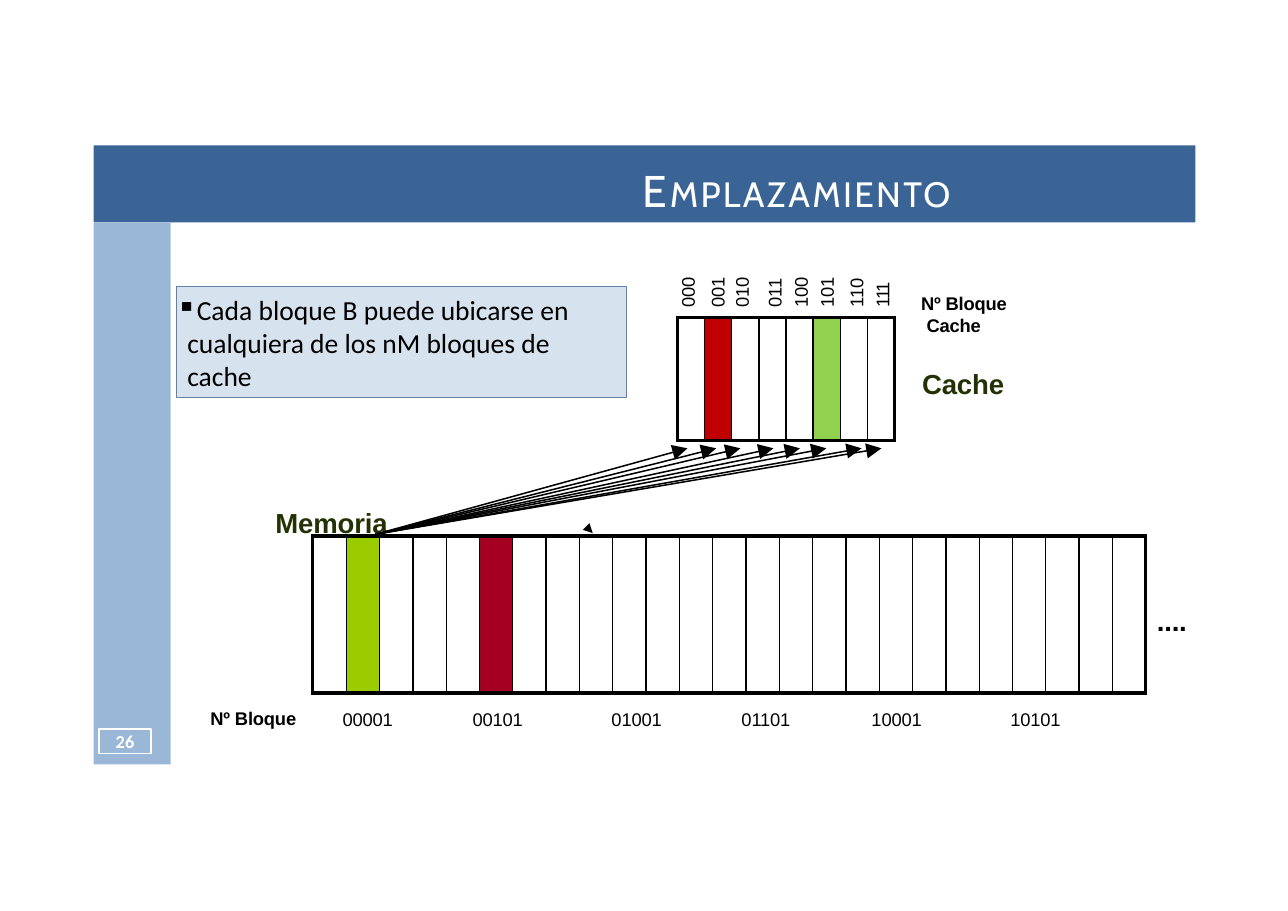
"""Build the slide on where a memory block may be placed in the cache."""
from dataclasses import dataclass, field

from lxml import etree
from pptx import Presentation
from pptx.dml.color import RGBColor
from pptx.enum.shapes import MSO_CONNECTOR, MSO_SHAPE
from pptx.enum.text import MSO_ANCHOR, PP_ALIGN
from pptx.oxml.ns import qn
from pptx.util import Inches, Pt

RECT = MSO_SHAPE.RECTANGLE
LINE = MSO_CONNECTOR.STRAIGHT
TOP, MIDDLE = MSO_ANCHOR.TOP, MSO_ANCHOR.MIDDLE
LEFT, CENTER = PP_ALIGN.LEFT, PP_ALIGN.CENTER
HUES = {
    "head": "396495", "side": "9AB7D8", "note": "D7E2EF", "edge": "667FA5",
    "white": "FFFFFF", "black": "000000", "name": "233205",
    "red": "C00000", "green": "92D050", "wine": "A50021", "lime": "9ACC00",
}


@dataclass
class Box:
    left: float
    top: float
    width: float
    height: float


@dataclass
class Label:
    text: str
    box: Box
    size: float = 12
    hue: str = "black"
    bold: bool = True


@dataclass
class Grid:
    box: Box
    count: int
    rim: float
    fills: dict = field(default_factory=dict)


BARS = [(Box(0.85, 1.32, 10, 0.7), "head"), (Box(0.85, 2.02, 0.7, 4.92), "side")]
GRIDS = [
    Grid(Box(6.15, 2.88, 1.97, 1.12), 8, 2.25, {1: "red", 5: "green"}),
    Grid(Box(2.84, 4.87, 7.56, 1.42), 25, 3, {1: "lime", 5: "wine"}),
]
MARKS = {"00001": 3.1, "00101": 4.28, "01001": 5.54,
         "01101": 6.72, "10001": 7.9, "10101": 9.16}
LABELS = [
    Label("Memoria", Box(2.49, 4.57, 1.06, 0.33), 18, "name"),
    Label("Cache", Box(8.36, 3.31, 0.78, 0.33), 18, "name"),
    Label("Nº Bloque", Box(1.9, 6.4, 0.82, 0.23)),
    Label("....", Box(10.49, 5.46, 0.3, 0.33), 18),
] + [Label(text, Box(left, 6.41, 0.49, 0.23), bold=False) for text, left in MARKS.items()]
SLOTS = {"000": 0, "001": 5, "010": 1.6, "011": 7,
         "100": 2.6, "101": 2.7, "110": 4.9, "111": 2.5}
TIPS = [6.24, 6.5, 6.72, 7.02, 7.26, 7.5, 7.82, 8]


def tint(name: str) -> RGBColor:
    return RGBColor.from_string(HUES[name])


def spot(box: Box) -> list:
    return [Inches(n) for n in (box.left, box.top, box.width, box.height)]


def put(para, text: str, *, size: float = 12, hue: str = "black", face: str = "Arial",
        bold: bool = False, space: float = -0.1) -> None:
    run = para.add_run()
    run.text = text
    run.font.size, run.font.name, run.font.bold = Pt(size), face, bold
    run.font.color.rgb = tint(hue)
    run._r.get_or_add_rPr().set("spc", str(round(space * 100)))


def frame(shape, *, left: float = 0.01, top: float = 0.02, right: float = 0,
          wrap: bool = False, anchor=TOP, align=LEFT):
    body = shape.text_frame
    body.margin_left, body.margin_top = Inches(left), Inches(top)
    body.margin_right, body.margin_bottom = Inches(right), 0
    body.word_wrap, body.vertical_anchor = wrap, anchor
    body.paragraphs[0].alignment = align
    return body


def block(slide, box: Box, fill: str = "", edge: str = "", width: float = 0.75):
    shape = slide.shapes.add_shape(RECT, *spot(box))
    shape.shadow.inherit = False
    if fill:
        shape.fill.solid()
        shape.fill.fore_color.rgb = tint(fill)
    else:
        shape.fill.background()
    if edge:
        shape.line.color.rgb = tint(edge)
        shape.line.width = Pt(width)
    else:
        shape.line.fill.background()
    return shape


def rule(cell, sides: dict) -> None:
    props = cell._tc.get_or_add_tcPr()
    for pos, (side, width) in enumerate(sides.items()):
        line = etree.Element(qn(f"a:ln{side}"), w=str(Pt(width)))
        fill = etree.SubElement(line, qn("a:solidFill"))
        etree.SubElement(fill, qn("a:srgbClr"), val=HUES["black"])
        props.insert(pos, line)


def draw(slide, grid: Grid) -> None:
    table = slide.shapes.add_table(1, grid.count, *spot(grid.box)).table
    table.first_row = table.horz_banding = False
    for col, cell in enumerate(table.rows[0].cells):
        table.columns[col].width = Inches(grid.box.width / grid.count)
        cell.margin_left = cell.margin_right = 0
        if col in grid.fills:
            cell.fill.solid()
            cell.fill.fore_color.rgb = tint(grid.fills[col])
        else:
            cell.fill.background()
        rule(cell, {"L": 2.25 if col == 0 else 1,
                    "R": 2.25 if col == grid.count - 1 else 1,
                    "T": grid.rim, "B": grid.rim})


def arrow(slide, tip: float) -> None:
    ends = [Inches(n) for n in (3.41, 4.85, tip, 4.07)]
    line = slide.shapes.add_connector(LINE, *ends)
    line.line.color.rgb = tint("black")
    line.line.width = Pt(1)
    etree.SubElement(line.line._get_or_add_ln(), qn("a:tailEnd"),
                     type="triangle", w="lg", len="lg")
    etree.SubElement(line._element.spPr, qn("a:effectLst"))


def note(slide) -> None:
    shape = block(slide, Box(1.6, 2.6, 4.09, 1.01), "note", "edge")
    para = frame(shape, left=0, top=0.06, right=0.5, wrap=True).paragraphs[0]
    props = para._p.get_or_add_pPr()
    props.set("marL", str(Inches(0.1)))
    props.set("indent", str(-Inches(0.1)))
    etree.SubElement(props, qn("a:buChar"), char="▪")
    put(para, "Cada bloque B puede ubicarse en cualquiera de los nM bloques de cache",
        size=18, face="Calibri", space=0)


def main() -> None:
    deck = Presentation()
    deck.slide_width, deck.slide_height = Inches(11.69), Inches(8.27)
    slide = deck.slides.add_slide(deck.slide_layouts[6])
    shapes = slide.shapes
    for box, fill in BARS:
        block(slide, box, fill)

    title = frame(shapes.add_textbox(*spot(Box(5.82, 1.46, 4.79, 0.5)))).paragraphs[0]
    put(title, "E", size=29, hue="white", face="Cabin", space=1.9)
    put(title, "MPLAZAMIENTO", size=23, hue="white", face="Cabin", space=1.5)

    note(slide)
    for grid in GRIDS:
        draw(slide, grid)
    for item in LABELS:
        para = frame(shapes.add_textbox(*spot(item.box))).paragraphs[0]
        put(para, item.text, size=item.size, hue=item.hue, bold=item.bold)

    body = frame(shapes.add_textbox(*spot(Box(8.35, 2.63, 0.82, 0.43))))
    put(body.paragraphs[0], "Nº Bloque", bold=True)
    para = body.add_paragraph()
    para._p.get_or_add_pPr().set("marL", str(Inches(0.05)))
    put(para, "Cache", bold=True)

    body = frame(shapes.add_textbox(*spot(Box(6.14, 2.5, 1.98, 0.29))),
                 left=0, top=0, wrap=True)
    body._txBody.bodyPr.set("vert", "vert270")
    for pos, (text, gap) in enumerate(SLOTS.items()):
        para = body.add_paragraph() if pos else body.paragraphs[0]
        if pos:
            para.space_before = Pt(gap)
        put(para, text, space=-0.9 if text == "111" else -0.1)

    for tip in TIPS:
        arrow(slide, tip)
    pen = shapes.build_freeform(Inches(5.38), Inches(4.84))
    pen.add_line_segments([(Inches(5.35), Inches(4.75)), (Inches(5.29), Inches(4.81))])
    head = pen.convert_to_shape()
    head.shadow.inherit = False
    head.fill.solid()
    head.fill.fore_color.rgb = tint("black")
    head.line.fill.background()

    page = block(slide, Box(0.9, 6.62, 0.47, 0.22), edge="white", width=1)
    para = frame(page, left=0, top=0, anchor=MIDDLE, align=CENTER).paragraphs[0]
    put(para, "26", hue="white", face="Calibri", bold=True, space=0)
    deck.save("out.pptx")


if __name__ == "__main__":
    main()
